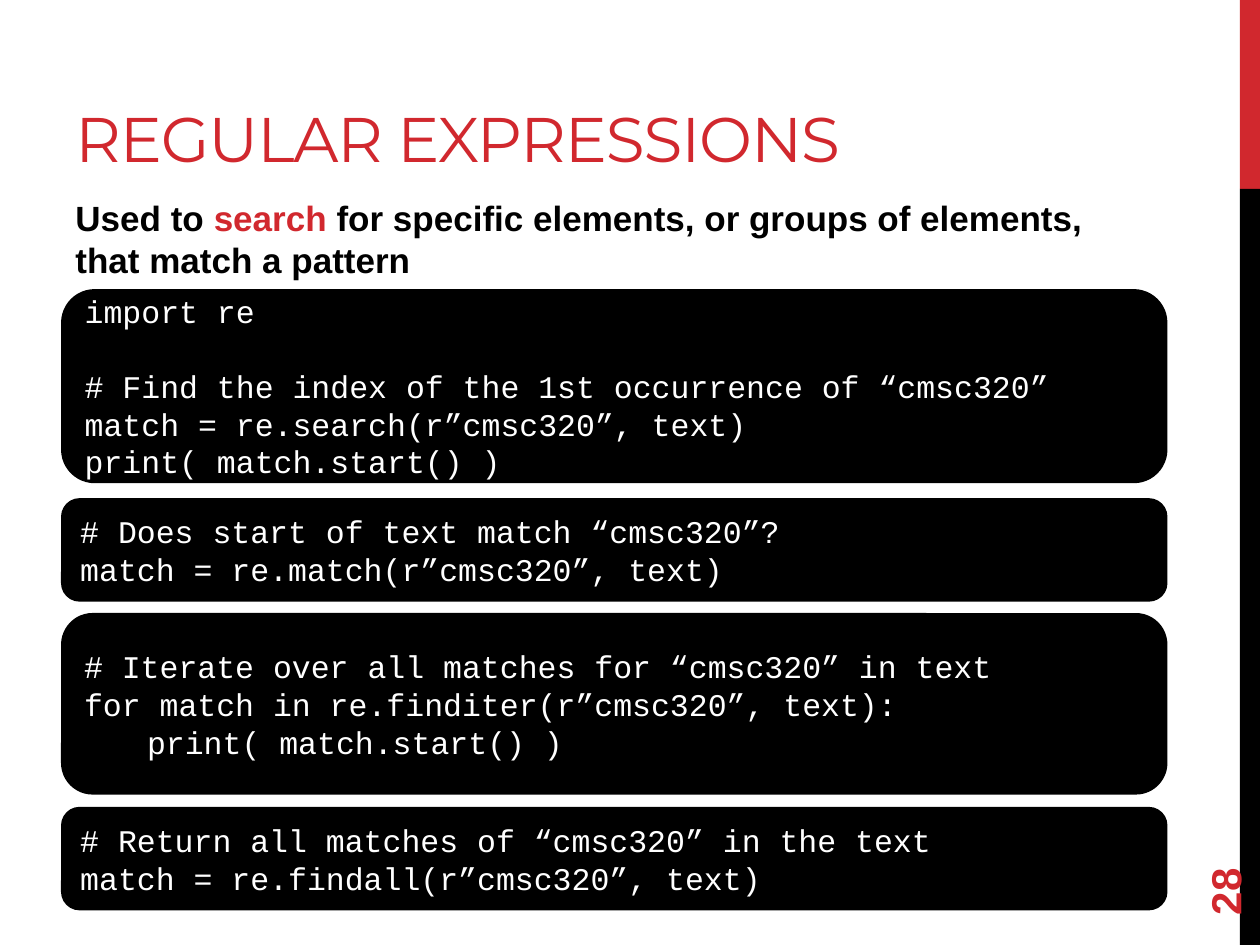
from dataclasses import dataclass

from lxml import etree
from pptx import Presentation
from pptx.dml.color import RGBColor
from pptx.enum.shapes import MSO_SHAPE as Shape
from pptx.enum.text import MSO_ANCHOR as Anchor, PP_ALIGN as Align
from pptx.oxml.ns import qn
from pptx.util import Pt


@dataclass(frozen=True)
class Theme:
    red: RGBColor = RGBColor(0xD1, 0x28, 0x2E)
    black: RGBColor = RGBColor(0, 0, 0)
    white: RGBColor = RGBColor(255, 255, 255)
    heading_font: str = "Montserrat"
    body_font: str = "Arial"
    code_font: str = "Courier New"
    title_size: float = 36
    number_size: float = 24
    body_size: float = 20
    code_size: float = 18
    code_gap: float = 21
    code_tab: float = 36


THEME = Theme()

CODE_LEFT, CODE_WIDTH = 36, 630
# Each block: top, height, lines of code
CODE_BLOCKS = [
    (166.3, 108.7, ["import re",
                    "",
                    "# Find the index of the 1st occurrence of “cmsc320”",
                    "match = re.search(r”cmsc320”, text)",
                    "print( match.start() )"]),
    (285.8, 56.9, ["# Does start of text match “cmsc320”?",
                   "match = re.match(r”cmsc320”, text)"]),
    (351.4, 101.5, ["# Iterate over all matches for “cmsc320” in text",
                    "for match in re.finditer(r”cmsc320”, text):",
                    "\tprint( match.start() )"]),
    (462.2, 56.9, ["# Return all matches of “cmsc320” in the text",
                   "match = re.findall(r”cmsc320”, text)"]),
]


def add_text(paragraph, text, *, font, size, color, bold=False, tracking=None):
    run = paragraph.add_run()
    run.text = text
    run.font.name = font
    run.font.size = Pt(size)
    run.font.bold = bold
    run.font.color.rgb = color
    if tracking is not None:
        run.font._element.set("spc", str(round(tracking * 100)))


def add_panel(slide, kind, box, color, outline=None):
    panel = slide.shapes.add_shape(kind, *map(Pt, box))
    panel.shadow.inherit = False
    panel.fill.solid()
    panel.fill.fore_color.rgb = color
    if outline:
        panel.line.color.rgb = color
        panel.line.width = Pt(outline)
    else:
        panel.line.fill.background()
    return panel


def add_text_box(slide, box, anchor):
    holder = slide.shapes.add_textbox(*map(Pt, box))
    holder.text_frame.word_wrap = True
    holder.text_frame.vertical_anchor = anchor
    return holder


def add_side_bar(slide, box):
    """Vertical band whose top fifth is red and the rest black."""
    left, top, width, height = box
    red_height = height / 5
    add_panel(slide, Shape.RECTANGLE, (left, top, width, red_height), THEME.red)
    add_panel(slide, Shape.RECTANGLE,
              (left, top + red_height, width, height - red_height), THEME.black)


def add_title(slide, box, text):
    title = add_text_box(slide, box, Anchor.BOTTOM)
    add_text(title.text_frame.paragraphs[0], text, font=THEME.heading_font,
             size=THEME.title_size, color=THEME.red, tracking=-0.6)


def add_summary(slide, box, pieces):
    summary = add_text_box(slide, box, Anchor.TOP)
    paragraph = summary.text_frame.paragraphs[0]
    for text, color in pieces:
        add_text(paragraph, text, font=THEME.body_font,
                 size=THEME.body_size, color=color, bold=True)


def add_page_number(slide, box, number):
    page_number = add_text_box(slide, box, Anchor.MIDDLE)
    page_number.rotation = 270
    add_text(page_number.text_frame.paragraphs[0], number, font=THEME.body_font,
             size=THEME.number_size, color=THEME.red, bold=True)


def set_tab_stop(paragraph, position):
    tabs = etree.SubElement(paragraph._p.get_or_add_pPr(), qn("a:tabLst"))
    etree.SubElement(tabs, qn("a:tab"), pos=str(Pt(position)), algn="l")


def add_code_block(slide, box, lines):
    """Rounded panel of code; an empty line becomes space before the next."""
    panel = add_panel(slide, Shape.ROUNDED_RECTANGLE, box, THEME.black, 2.25)
    frame = panel.text_frame
    frame.word_wrap = True
    frame.vertical_anchor = Anchor.MIDDLE
    paragraph, gap = frame.paragraphs[0], 0
    for index, line in enumerate(lines):
        if not line:
            gap += THEME.code_gap
            continue
        if index:
            paragraph = frame.add_paragraph()
        paragraph.alignment = Align.LEFT
        if gap:
            paragraph.space_before = Pt(gap)
            gap = 0
        if "\t" in line:
            set_tab_stop(paragraph, THEME.code_tab)
        add_text(paragraph, line, font=THEME.code_font,
                 size=THEME.code_size, color=THEME.white)


def main():
    deck = Presentation()
    deck.slide_width, deck.slide_height = Pt(720), Pt(540)
    slide = deck.slides.add_slide(deck.slide_layouts[6])

    add_side_bar(slide, (708.5, 0, 11.5, 540))
    add_title(slide, (36, 31, 529, 72.7), "REGULAR EXPRESSIONS")
    add_summary(slide, (36, 108.7, 600, 344), [
        ("Used to ", THEME.black),
        ("search", THEME.red),
        (" for specific elements, or groups of elements, that match a pattern",
         THEME.black),
    ])
    add_page_number(slide, (648, 463.7, 103.7, 28.8), "28")
    for top, height, lines in CODE_BLOCKS:
        add_code_block(slide, (CODE_LEFT, top, CODE_WIDTH, height), lines)

    deck.save("out.pptx")


if __name__ == "__main__":
    main()
